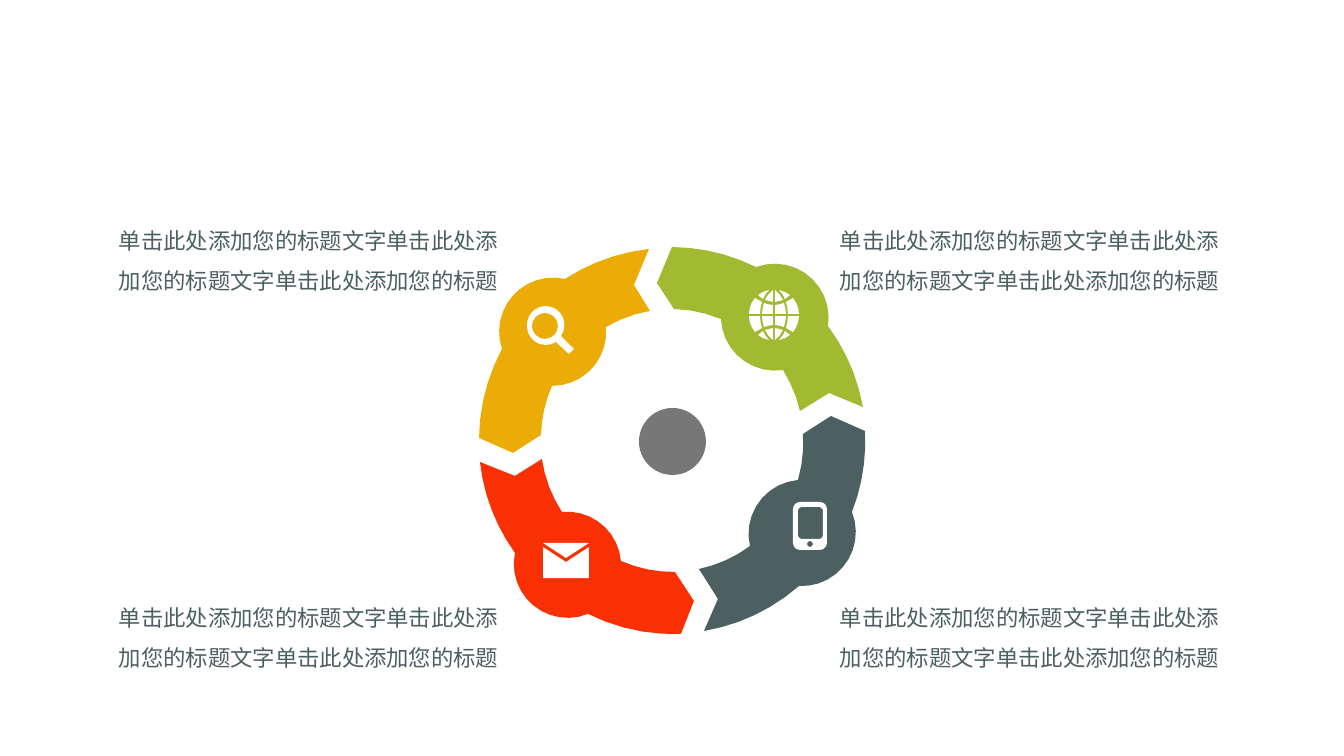
"""Build a slide with a four-part icon ring and four captions."""
import math
from itertools import product

from lxml import etree
from pptx import Presentation
from pptx import util as u
from pptx.dml.color import RGBColor
from pptx.enum import shapes, text
from pptx.oxml.ns import qn

PX = 914400 / 100.8
FONT = "Noto Sans CJK SC"
COLORS = {
    "amber": "EBAC07",
    "green": "A2B932",
    "slate": "4C6062",
    "red": "F83003",
    "hub": "777777",
    "white": "FFFFFF",
}
PHRASE = "单击此处添加您的标题"
CAPTION = (PHRASE + "文字") * 2 + PHRASE
TOLERANCE = 0.25
OUTER, INNER, BUMP = 193, -131, 54
RING_BOX = (479, 247, 387, 387)
SEGMENTS = {
    "amber": [
        (171, 64, INNER), (155, 38, 0), (170, 2, 0), (86, 32, OUTER),
        (23, 102, BUMP), (0, 191, OUTER), (34, 206, 0), (62, 188, 0),
        (73, 139, INNER), (127, 80, BUMP),
    ],
    "green": [
        (349, 79, OUTER), (277, 20, BUMP), (193, 0, OUTER), (178, 36, 0),
        (195, 62, 0), (242, 72, INNER), (304, 123, BUMP),
        (321, 164, INNER), (350, 146, 0), (384, 160, 0),
    ],
    "slate": [
        (373, 265, BUMP), (386, 184, OUTER), (352, 169, 0), (324, 187, 0),
        (319, 233, INNER), (271, 299, BUMP), (220, 322, INNER),
        (239, 352, 0), (225, 384, 0), (320, 339, OUTER),
    ],
    "red": [
        (196, 325, 0), (142, 314, INNER), (83, 265, BUMP),
        (63, 212, INNER), (36, 229, 0), (1, 215, 0), (36, 306, OUTER),
        (109, 367, BUMP), (202, 387, OUTER), (215, 354, 0),
    ],
}
GLOBE_QUARTER = [
    [(1, -1, 0), (12, -1, 0), (10, -12, 40), (1, -10, -35)],
    [(1, -13, 0), (1, -25, 0), (9, -15, -25), (1, -13, -35)],
    [(14, -1, -40), (25, -1, 0), (19, -17, 25), (12, -13, -35)],
    [(5, -25, 25), (16, -20, -25), (11, -16, -35)],
]


def px(length):
    """Turn pixels into EMU."""
    return u.Emu(round(length * PX))


def arc_points(start, end, radius):
    """Sample the minor arc to end, counterclockwise if radius is positive."""
    (x0, y0), (x1, y1) = start, end
    dx, dy = x1 - x0, y1 - y0
    chord = math.hypot(dx, dy)
    sign = math.copysign(1, radius)
    size = max(abs(radius), chord / 2)
    reach = sign * math.sqrt(size ** 2 - chord ** 2 / 4) / chord
    cx, cy = (x0 + x1) / 2 + dy * reach, (y0 + y1) / 2 - dx * reach
    first = math.atan2(y0 - cy, x0 - cx)
    sweep = -2 * sign * math.asin(min(1, chord / 2 / size))
    steps = math.ceil(abs(sweep) / (2 * math.acos(1 - TOLERANCE / size)))
    angles = [first + sweep * step / steps for step in range(1, steps + 1)]
    return [(cx + size * math.cos(a), cy + size * math.sin(a)) for a in angles]


def trace(corners):
    """Turn corners (x, y, radius of the edge that arrives) into points."""
    points = []
    for index, (x, y, radius) in enumerate(corners):
        if radius:
            points += arc_points(corners[index - 1][:2], (x, y), radius)
        else:
            points.append((x, y))
    return points


def circle(cx, cy, radius):
    """Give the corners of a circle."""
    return [(cx + radius, cy, radius), (cx - radius, cy, radius)]


def rounded(left, top, right, bottom, radius):
    """Give the corners of a rounded rectangle."""
    return [
        (left + radius, top, 0), (left, top + radius, radius),
        (left, bottom - radius, 0), (left + radius, bottom, radius),
        (right - radius, bottom, 0), (right, bottom - radius, radius),
        (right, top + radius, 0), (right - radius, top, radius),
    ]


def paint(shape, color):
    """Give a shape a flat fill without line or shadow."""
    shape.shadow.inherit = False
    shape.fill.solid()
    shape.fill.fore_color.rgb = RGBColor.from_string(COLORS[color])
    shape.line.fill.background()


def add_outline(slide, origin, contours, color):
    """Draw one freeform from contours placed relative to origin."""
    left, top = origin
    builder = None
    for corners in contours:
        points = [(px(left + x), px(top + y)) for x, y in trace(corners)]
        if builder is None:
            builder = slide.shapes.build_freeform(*points[0], scale=1.0)
        else:
            builder.move_to(*points[0])
        builder.add_line_segments(points[1:], close=True)
    paint(builder.convert_to_shape(), color)


def add_ring(slide, box):
    """Draw the hub and the four ring segments."""
    left, top, width, height = box
    hub = 67
    shape = slide.shapes.add_shape(
        shapes.MSO_SHAPE.OVAL, px(left + (width - hub) / 2),
        px(top + (height - hub) / 2 + 1), px(hub), px(hub))
    paint(shape, "hub")
    for color, corners in SEGMENTS.items():
        add_outline(slide, (left, top), [corners], color)


def add_envelope(slide, origin):
    """Draw the envelope body and flap."""
    body = [(46, 35, 0), (0, 35, 0), (0, 4, 0), (23, 19, 0), (46, 4, 0)]
    flap = [(46, 0, 0), (0, 0, 0), (23, 15, 0)]
    for corners in (body, flap):
        add_outline(slide, origin, [corners], "white")


def add_phone(slide, origin):
    """Draw the phone with its screen and button cut out."""
    contours = [rounded(0, 0, 34, 48, 7), rounded(5, 5, 30, 37, 4),
                circle(17, 42, 3)]
    add_outline(slide, origin, contours, "white")


def add_globe(slide, center):
    """Draw the globe by mirroring one quarter."""
    for (sx, sy), piece in product(product((1, -1), repeat=2), GLOBE_QUARTER):
        corners = [(sx * x, sy * y, sx * sy * r) for x, y, r in piece]
        add_outline(slide, center, [corners], "white")


def add_magnifier(slide, origin):
    """Draw the magnifier with its lens cut out."""
    frame = [(34, 30, 0), (18, 0, 19), (0, 20, 19), (18, 39, 19),
             (29, 36, 19), (42, 48, 0), (47, 43, 0)]
    add_outline(slide, origin, [frame, circle(18, 20, 13)], "white")


def add_text(slide, box, content, size=16, color="slate", spacing=1.5):
    """Add a wrapped text box."""
    shape = slide.shapes.add_textbox(*(px(length) for length in box))
    frame = shape.text_frame
    frame.word_wrap = True
    frame.auto_size = text.MSO_AUTO_SIZE.SHAPE_TO_FIT_TEXT
    paragraph = frame.paragraphs[0]
    paragraph.line_spacing = spacing
    run = paragraph.add_run()
    run.text = content
    run.font.size = u.Pt(size)
    run.font.color.rgb = RGBColor.from_string(COLORS[color])
    run.font.name = FONT
    east_asian = etree.SubElement(run.font._element, qn("a:ea"))
    east_asian.set("typeface", FONT)


def main():
    """Build and save the slide."""
    presentation = Presentation()
    presentation.slide_width, presentation.slide_height = px(1344), px(756)
    slide = presentation.slides.add_slide(presentation.slide_layouts[6])
    add_ring(slide, RING_BOX)
    add_envelope(slide, (543, 543))
    add_phone(slide, (793, 502))
    add_globe(slide, (774, 315))
    add_magnifier(slide, (527, 306))
    for left, top in product((109, 830), (209, 586)):
        add_text(slide, (left, top, 417, 92), CAPTION)
    presentation.save("out.pptx")


if __name__ == "__main__":
    main()
